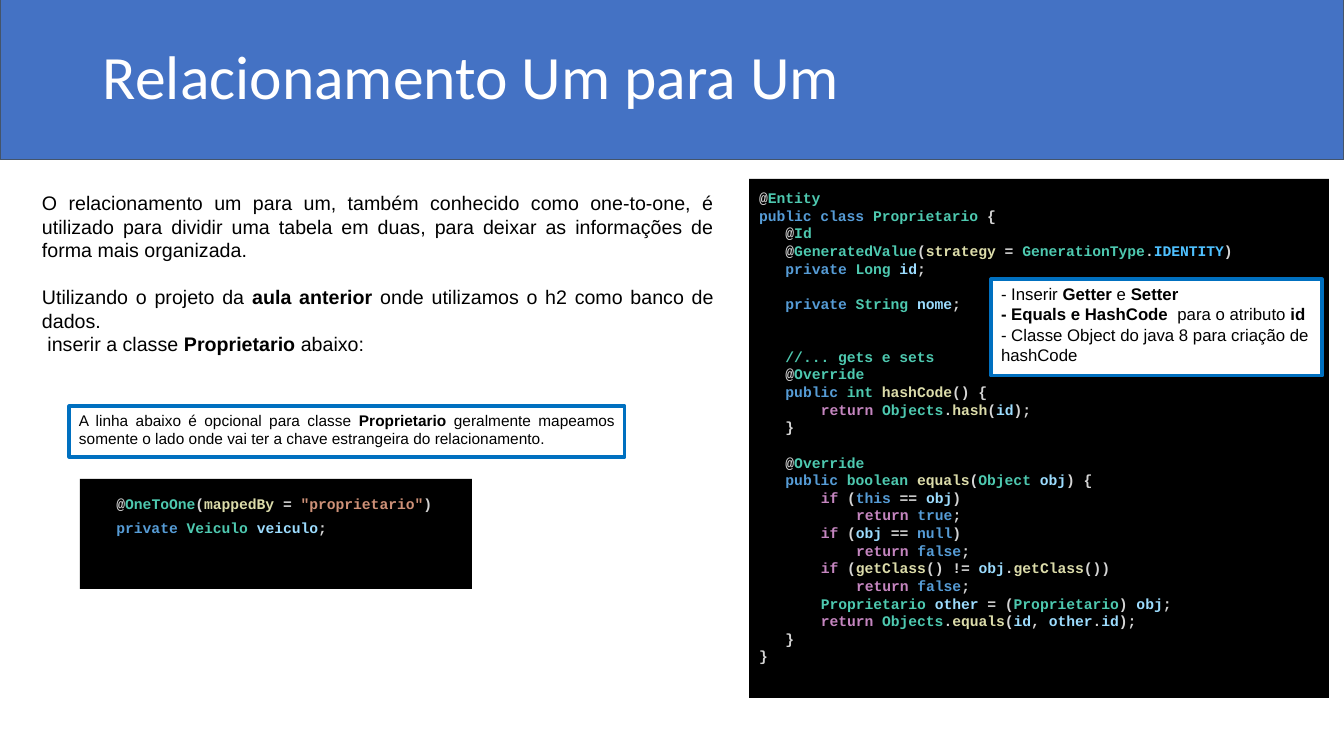
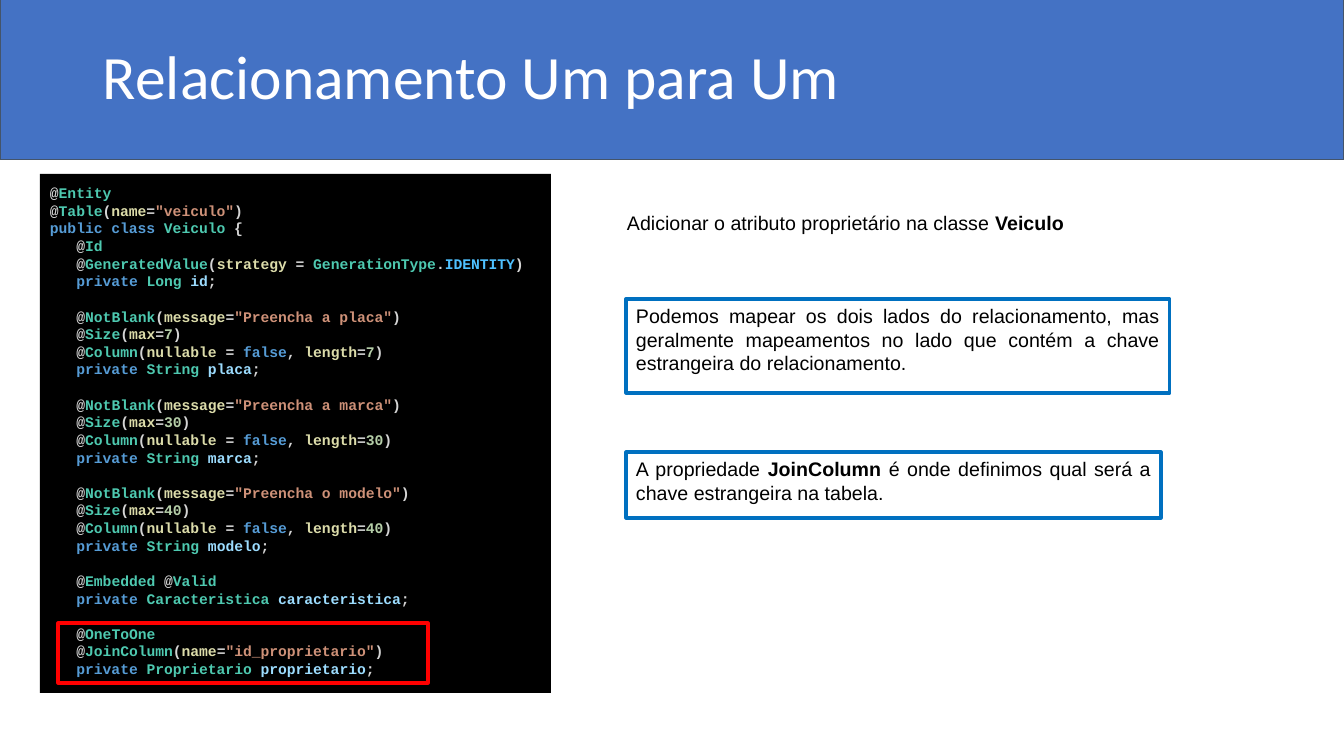
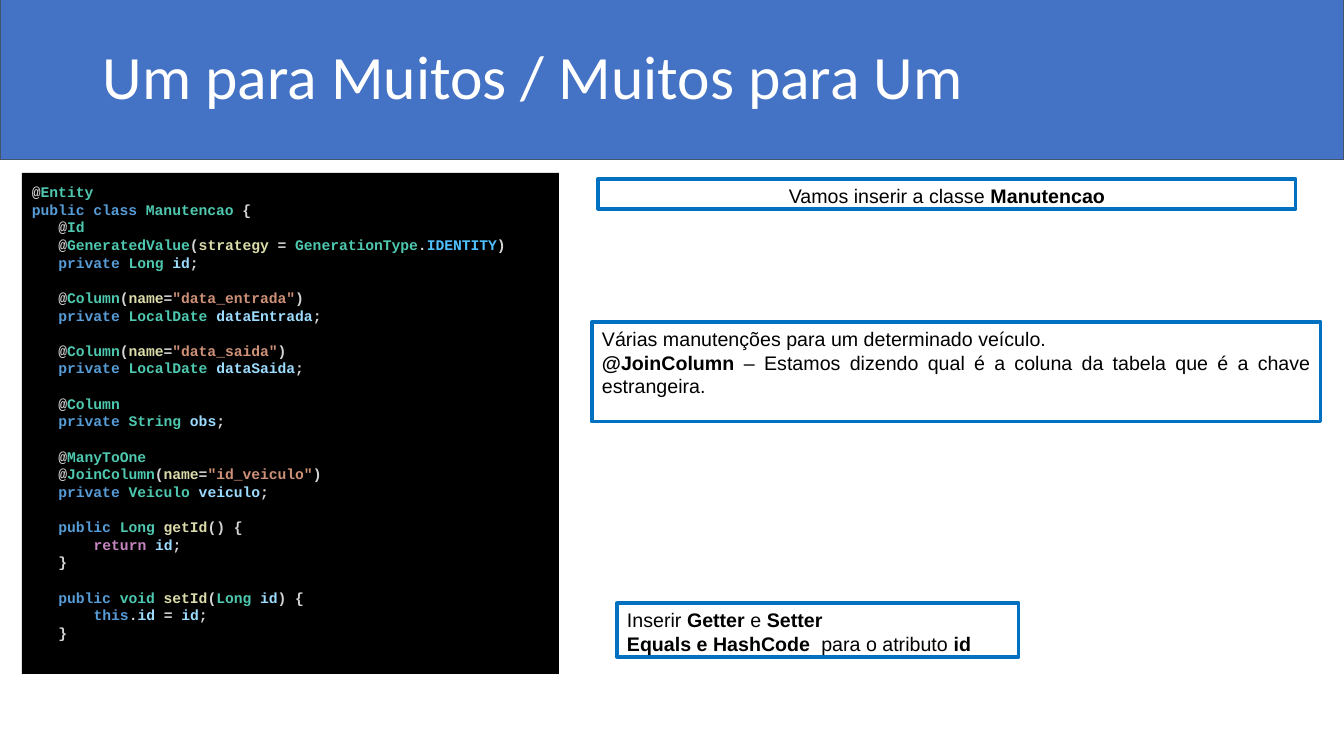
from itertools import groupby
from pptx import Presentation
from pptx.dml.color import RGBColor
from pptx.enum.shapes import MSO_SHAPE as Preset
from pptx.enum.text import MSO_ANCHOR as Anchor, PP_ALIGN as Align
from pptx.util import Pt

PX = 914400 / 100.8
CHARACTER_WIDTH = Pt(6.3)
LINE_HEIGHT = 1.2

WORD_COLORS = {
    "569CD6": "public private class this true false null",
    "C586C0": "if return",
    "4EC9B0": "int boolean void",
    "4FC1FF": "IDENTITY",
    "DCDCAA": "strategy name message max nullable length mappedBy "
              "hashCode hash equals getClass getId setId",
}
COLOR_BY_WORD = {word: color for color, words in WORD_COLORS.items() for word in words.split()}

STYLES = {
    "band": {"fill": "4472C4", "line": "44546A", "weight": 0.75},
    "title": {"font": "Calibri", "size": 44, "color": "FFFFFF", "anchor": Anchor.MIDDLE, "spacing": 0.9},
    "body": {"align": Align.JUSTIFY},
    "note": {"line": "0070C0", "align": Align.JUSTIFY},
    "frame": {"line": "FF0000"},
    "code": {"fill": "000000", "font": "Courier New", "size": 10.5, "inset": 10},
}
DEFAULTS = {
    "fill": None, "line": None, "weight": 2.25, "font": "Arial", "size": 14, "color": "000000",
    "align": Align.LEFT, "anchor": Anchor.TOP, "spacing": 1.0, "inset": 5,
}

OWNER_CODE = """@Entity
public class Proprietario {
   @Id
   @GeneratedValue(strategy = GenerationType.IDENTITY)
   private Long id;

   private String nome;


   //... gets e sets
   @Override
   public int hashCode() {
       return Objects.hash(id);
   }

   @Override
   public boolean equals(Object obj) {
       if (this == obj)
           return true;
       if (obj == null)
           return false;
       if (getClass() != obj.getClass())
           return false;
       Proprietario other = (Proprietario) obj;
       return Objects.equals(id, other.id);
   }
}"""

MAPPING_CODE = """   @OneToOne(mappedBy = "proprietario")
   private Veiculo veiculo;"""

VEHICLE_CODE = """@Entity
@Table(name="veiculo")
public class Veiculo {
   @Id
   @GeneratedValue(strategy = GenerationType.IDENTITY)
   private Long id;

   @NotBlank(message="Preencha a placa")
   @Size(max=7)
   @Column(nullable = false, length=7)
   private String placa;

   @NotBlank(message="Preencha a marca")
   @Size(max=30)
   @Column(nullable = false, length=30)
   private String marca;

   @NotBlank(message="Preencha o modelo")
   @Size(max=40)
   @Column(nullable = false, length=40)
   private String modelo;

   @Embedded @Valid
   private Caracteristica caracteristica;

   @OneToOne
   @JoinColumn(name="id_proprietario")
   private Proprietario proprietario;"""

MAINTENANCE_CODE = """@Entity
public class Manutencao {
   @Id
   @GeneratedValue(strategy = GenerationType.IDENTITY)
   private Long id;

   @Column(name="data_entrada")
   private LocalDate dataEntrada;

   @Column(name="data_saida")
   private LocalDate dataSaida;

   @Column
   private String obs;

   @ManyToOne
   @JoinColumn(name="id_veiculo")
   private Veiculo veiculo;

   public Long getId() {
       return id;
   }

   public void setId(Long id) {
       this.id = id;
   }"""

SLIDES = [
    ("Relacionamento Um para Um", [
        ("body", (32, 186, 692, 146), """O relacionamento um para um, também conhecido como one-to-one, é utilizado para dividir uma tabela em duas, para deixar as informações de forma mais organizada.

Utilizando o projeto da **aula anterior** onde utilizamos o h2 como banco de dados.
 inserir a classe **Proprietario** abaixo:""", {}),
        ("code", (749, 179, 580, 519), OWNER_CODE, {}),
        ("note", (991, 279, 331, 97), """- Inserir **Getter** e **Setter**
**- Equals e HashCode**  para o atributo **id**
- Classe Object do java 8 para criação de hashCode""",
         {"fill": "FFFFFF", "size": 12, "align": Align.LEFT}),
        ("note", (69, 406, 556, 51), "A linha abaixo é opcional para classe **Proprietario** geralmente mapeamos somente o lado onde vai ter a chave estrangeira do relacionamento.", {"size": 11}),
        ("code", (80, 479, 392, 110), MAPPING_CODE, {"spacing": 1.36}),
    ]),
    ("Relacionamento Um para Um", [
        ("code", (40, 174, 511, 519), VEHICLE_CODE, {}),
        ("body", (617, 206, 492, 34), "Adicionar o atributo proprietário na classe **Veiculo**", {}),
        ("note", (626, 452, 535, 66), "A propriedade **JoinColumn** é onde definimos qual será a chave estrangeira na tabela.", {}),
        ("note", (626, 299, 544, 94), "Podemos mapear os dois lados do relacionamento, mas geralmente mapeamentos no lado que contém a chave estrangeira do relacionamento.", {}),
        ("frame", (58, 623, 370, 60), "", {}),
    ]),
    ("Um para Muitos / Muitos para Um", [
        ("note", (617, 603, 402, 54), """Inserir **Getter** e **Setter**
**Equals e HashCode**  para o atributo **id**""", {}),
        ("note", (598, 179, 698, 30), "Vamos inserir a classe **Manutencao**", {"align": Align.CENTER}),
        ("note", (592, 322, 729, 100), """Várias manutenções para um determinado veículo.
**@JoinColumn** – Estamos dizendo qual é a coluna da tabela que é a chave estrangeira.""", {}),
        ("code", (22, 173, 537, 501), MAINTENANCE_CODE, {}),
    ]),
]


def rgb(value):
    return RGBColor.from_string(value)


def highlight(line):
    if line.startswith("//"):
        return [(line, "4EC9B0")]
    tokens = []
    for index, piece in enumerate(line.split('"')):
        if index % 2:
            tokens.append((f'"{piece}"', "CE9178"))
            continue
        for is_word, letters in groupby(piece, lambda letter: letter.isalnum() or letter == "_"):
            token = "".join(letters)
            if not is_word:
                color = "D4D4D4"
            elif token.isdigit():
                color = "B5CEA8"
            else:
                color = COLOR_BY_WORD.get(token, "4EC9B0" if token[0].isupper() else "9CDCFE")
            tokens.append((token, color))
    return tokens


presentation = Presentation()
presentation.slide_width = round(1344 * PX)
presentation.slide_height = round(756 * PX)

for title, items in SLIDES:
    slide = presentation.slides.add_slide(presentation.slide_layouts[6])
    header = [("band", (0, 0, 1344, 160), "", {}), ("title", (93, 7, 1159, 146), title, {})]
    for kind, bounds, text, overrides in header + items:
        style = {**DEFAULTS, **STYLES[kind], **overrides}
        box = [round(length * PX) for length in bounds]
        if kind in ("title", "body"):
            shape = slide.shapes.add_textbox(*box)
        else:
            shape = slide.shapes.add_shape(Preset.RECTANGLE, *box)
            shape.shadow.inherit = False
            if style["fill"]:
                shape.fill.solid()
                shape.fill.fore_color.rgb = rgb(style["fill"])
            else:
                shape.fill.background()
            if style["line"]:
                shape.line.color.rgb = rgb(style["line"])
                shape.line.width = Pt(style["weight"])
            else:
                shape.line.fill.background()
        if not text:
            continue

        frame = shape.text_frame
        frame_format = {
            "word_wrap": True, "vertical_anchor": style["anchor"],
            "margin_left": round(10 * PX), "margin_right": round(10 * PX),
            "margin_top": round(style["inset"] * PX), "margin_bottom": round(style["inset"] * PX),
        }
        for name, value in frame_format.items():
            setattr(frame, name, value)

        blank_lines = 0
        paragraph = None
        for line in text.split("\n"):
            if not line:
                blank_lines += 1
                continue
            paragraph = frame.add_paragraph() if paragraph else frame.paragraphs[0]
            paragraph_format = {
                "alignment": style["align"], "line_spacing": style["spacing"],
                "space_before": Pt(blank_lines * style["size"] * LINE_HEIGHT),
            }
            for name, value in paragraph_format.items():
                setattr(paragraph, name, value)
            blank_lines = 0

            if kind == "code":
                code = line.lstrip()
                indent = (len(line) - len(code)) * CHARACTER_WIDTH
                properties = paragraph._p.get_or_add_pPr()
                properties.set("marL", str(indent))
                properties.set("indent", "0")
                runs = [(token, color, True) for token, color in highlight(code)]
            else:
                runs = [(piece, style["color"], index % 2 == 1)
                        for index, piece in enumerate(line.split("**")) if piece]
            for content, color, bold in runs:
                run = paragraph.add_run()
                run.text = content
                run.font.color.rgb = rgb(color)
                font_format = {"name": style["font"], "size": Pt(style["size"]), "bold": bold}
                for name, value in font_format.items():
                    setattr(run.font, name, value)

presentation.save("out.pptx")
